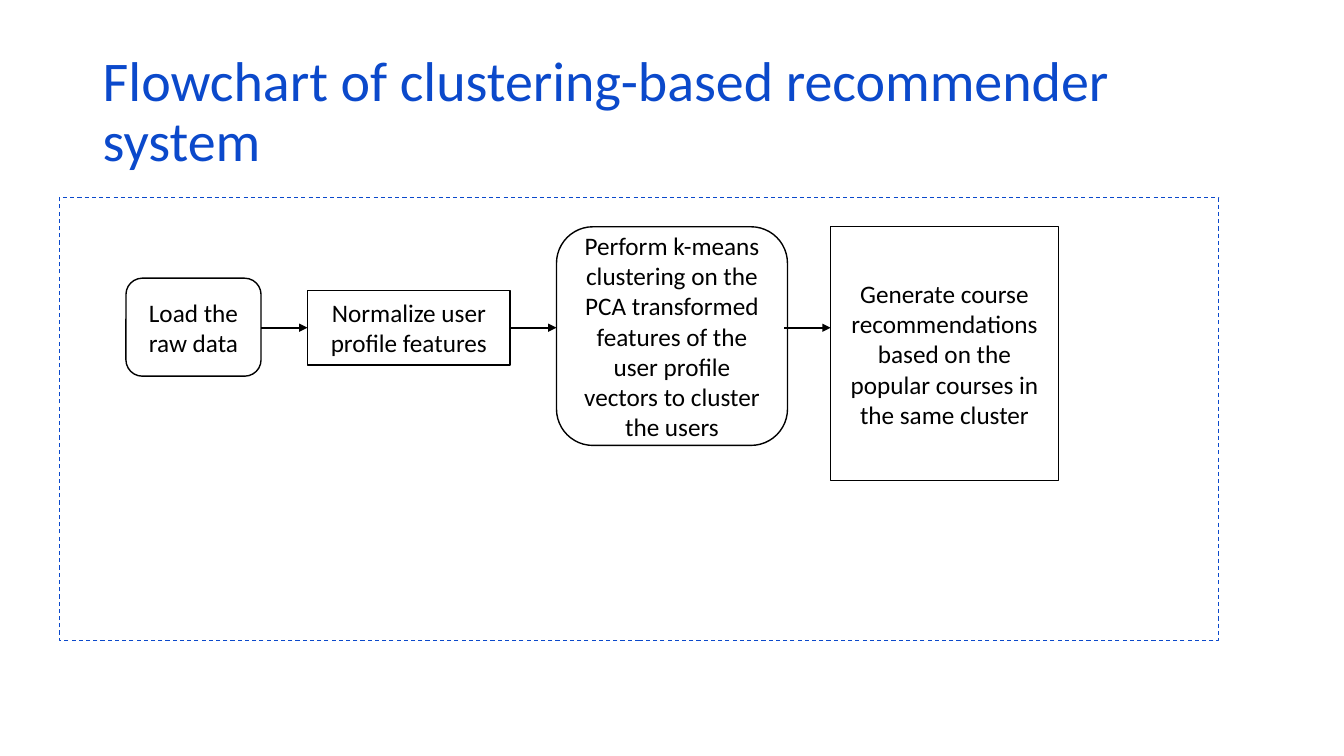
from lxml.etree import SubElement
from pptx import Presentation
from pptx.dml.color import RGBColor
from pptx.enum.dml import MSO_LINE
from pptx.enum.shapes import MSO_CONNECTOR, MSO_SHAPE
from pptx.enum.text import MSO_ANCHOR, PP_ALIGN
from pptx.oxml.ns import qn
from pptx.util import Pt

BLUE = RGBColor(0x0B, 0x49, 0xCB)
BLACK = RGBColor(0, 0, 0)
WHITE = RGBColor(0xFF, 0xFF, 0xFF)
FONT = "Calibri"
ARROW_LENGTH = 33
ARROW_TOP = 93

ROUNDED = MSO_SHAPE.ROUNDED_RECTANGLE
PLAIN = MSO_SHAPE.RECTANGLE

# Wording, outline, then left, top, width and height within the frame
STEPS = [
    ("Load the raw data", ROUNDED, (47.5, 57.6, 96.5, 70)),
    ("Normalize user profile features", PLAIN, (177.2, 66.3, 144.7, 53.3)),
    ("Perform k-means clustering on the PCA transformed features of the "
     "user profile vectors to cluster the users", ROUNDED, (355, 20.9, 165, 156.2)),
    ("Generate course recommendations based on the popular courses in the "
     "same cluster", PLAIN, (550.8, 20.9, 162.7, 181.4)),
]


def style_text(frame, size, color, alignment):
    frame.word_wrap = True
    frame.vertical_anchor = MSO_ANCHOR.MIDDLE
    para = frame.paragraphs[0]
    para.alignment = alignment
    for span in para.runs:
        span.font.name = FONT
        span.font.size = Pt(size)
        span.font.color.rgb = color


def add_title(page, left, top, width, height):
    title = page.shapes.title
    title.left, title.top = Pt(left), Pt(top)
    title.width, title.height = Pt(width), Pt(height)
    title.text_frame.text = "Flowchart of clustering-based recommender system"
    title.text_frame.paragraphs[0].line_spacing = 0.9
    style_text(title.text_frame, 40, BLUE, PP_ALIGN.LEFT)


def add_outlined(page, kind, left, top, width, height, color, weight):
    box = page.shapes.add_shape(kind, Pt(left), Pt(top), Pt(width), Pt(height))
    box.shadow.inherit = False
    box.fill.background()
    box.line.color.rgb = color
    box.line.width = Pt(weight)
    return box


def add_arrow(page, left, top, length):
    arrow = page.shapes.add_connector(
        MSO_CONNECTOR.STRAIGHT, Pt(left), Pt(top), Pt(left + length), Pt(top))
    arrow.line.color.rgb = BLACK
    arrow.line.width = Pt(1.25)
    SubElement(arrow.line._get_or_add_ln(), qn("a:tailEnd"), type="triangle")
    SubElement(arrow._element.spPr, qn("a:effectLst"))


def add_flowchart(page, left, top, width, height):
    """Draw the dashed frame, its steps and an arrow into each later step."""
    frame = add_outlined(page, PLAIN, left, top, width, height, BLUE, 0.75)
    frame.line.dash_style = MSO_LINE.DASH
    for index, (wording, kind, (x, y, step_width, step_height)) in enumerate(STEPS):
        step = add_outlined(page, kind, left + x, top + y,
                            step_width, step_height, BLACK, 1)
        if kind == PLAIN:
            step.fill.solid()
            step.fill.fore_color.rgb = WHITE
        step.text_frame.text = wording
        style_text(step.text_frame, 18, BLACK, PP_ALIGN.CENTER)
        if index:
            add_arrow(page, left + x - ARROW_LENGTH, top + ARROW_TOP, ARROW_LENGTH)


def main():
    deck = Presentation()
    deck.slide_width, deck.slide_height = Pt(960), Pt(540)
    page = deck.slides.add_slide(deck.slide_layouts.get_by_name("Title Only"))
    add_title(page, 66.2, 28.8, 828, 104.4)
    add_flowchart(page, 42.5, 141.1, 828, 316.1)
    deck.save("out.pptx")


if __name__ == "__main__":
    main()
